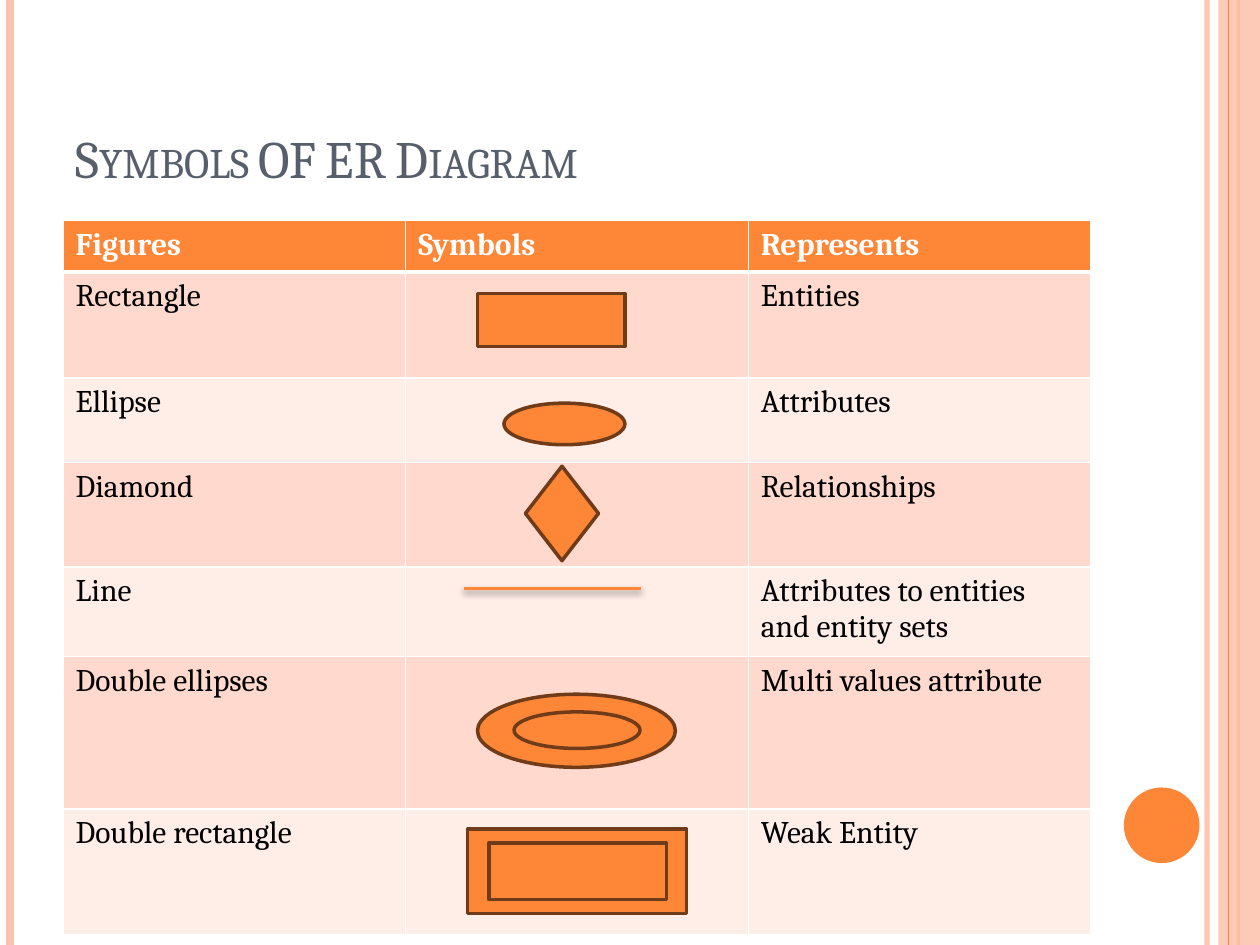
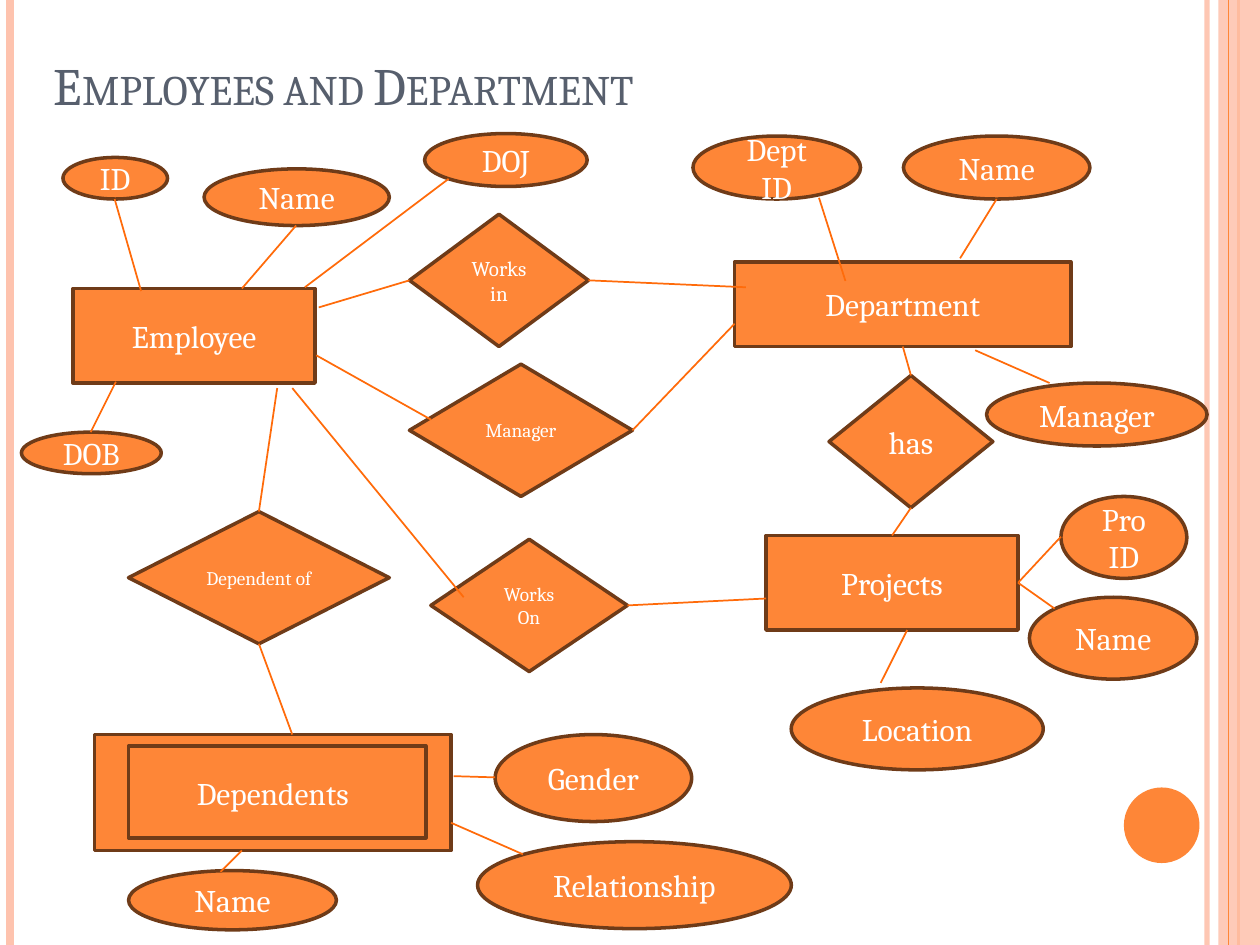
"""Build two slides on the symbols and an example of the ER diagram."""
from dataclasses import dataclass
from typing import Optional, Union

from lxml import etree
from pptx import Presentation
from pptx.dml.color import RGBColor
from pptx.enum.shapes import MSO_CONNECTOR, MSO_SHAPE
from pptx.enum.text import MSO_ANCHOR, PP_ALIGN
from pptx.oxml.ns import qn
from pptx.util import Pt

PX = 9144
FONT = "Cambria"
COLORS = {
    "paper": "FFFFFF", "ink": "000000", "title": "575F6D", "orange": "FE8637",
    "outline": "6F3B18", "link": "FF6B0A", "rail": "FEC3AE",
    "band_dark": "FFD9CE", "band_light": "FFEDE8",
}
RECT, OVAL, DIAMOND = MSO_SHAPE.RECTANGLE, MSO_SHAPE.OVAL, MSO_SHAPE.DIAMOND
STRAIGHT = MSO_CONNECTOR.STRAIGHT
MIDDLE, BOTTOM_ANCHOR, CENTER = MSO_ANCHOR.MIDDLE, MSO_ANCHOR.BOTTOM, PP_ALIGN.CENTER
TOP, LEFT, BOTTOM, RIGHT = range(4)


@dataclass(frozen=True)
class Rail:
    """A vertical line that runs the full height of the slide."""
    x: int
    points: float
    color: str
    opacity: int = 100


@dataclass(frozen=True)
class Node:
    """An outlined figure of the ER notation."""
    kind: int
    left: int
    top: int
    width: int
    height: int
    label: str = ""
    size: int = 18
    fill: Optional[str] = "orange"

    def side(self, index: int) -> tuple[int, int]:
        """Return the middle of one side."""
        across, down = self.left + self.width // 2, self.top + self.height // 2
        return ((across, self.top), (self.left, down),
                (across, self.top + self.height), (self.left + self.width, down))[index]


End = Union[tuple[int, int], tuple[str, int]]


@dataclass(frozen=True)
class Link:
    """A line between points or named sides of nodes."""
    begin: End
    end: End


RAILS_BELOW = (Rail(958, 3, "rail", 93), Rail(8, 4.5, "rail"), Rail(983, 1.5, "orange"))
RAIL_ABOVE = Rail(975, 0.75, "orange")

COLUMN_WIDTH = 272
HEADINGS = ("Figures", "Symbols", "Represents")
HEADING_HEIGHT = 41
MEANINGS = (
    ("Rectangle", "Entities", 84),
    ("Ellipse", "Attributes", 67),
    ("Diamond", "Relationships", 83),
    ("Line", "Attributes to entities and entity sets", 71),
    ("Double ellipses", "Multi values attribute", 121),
    ("Double rectangle", "Weak Entity", 100),
)
SYMBOLS = (
    Node(RECT, 379, 233, 117, 42),
    Node(OVAL, 400, 320, 96, 33),
    Node(DIAMOND, 417, 370, 58, 75),
    Node(OVAL, 379, 551, 157, 58),
    Node(OVAL, 408, 565, 100, 29),
    Node(RECT, 371, 658, 174, 67),
    Node(RECT, 388, 669, 141, 45),
)

NODES = {
    "employee": Node(RECT, 58, 229, 192, 75, "Employee"),
    "employee_id": Node(OVAL, 50, 125, 83, 33, "ID"),
    "employee_name": Node(OVAL, 162, 134, 147, 45, "Name"),
    "dob": Node(OVAL, 17, 343, 111, 33, "DOB"),
    "doj": Node(OVAL, 337, 106, 129, 42, "DOJ"),
    "works_in": Node(DIAMOND, 325, 170, 142, 105, "Works in", 12),
    "manages": Node(DIAMOND, 325, 289, 177, 105, "Manager", 11),
    "department": Node(RECT, 583, 208, 267, 67, "Department"),
    "dept_id": Node(OVAL, 550, 108, 133, 50, "Dept ID"),
    "dept_name": Node(OVAL, 717, 108, 148, 50, "Name"),
    "dept_manager": Node(OVAL, 783, 304, 175, 50, "Manager"),
    "projects": Node(RECT, 608, 425, 200, 75, "Projects"),
    "works_on": Node(DIAMOND, 342, 428, 156, 105, "Works On", 11),
    "has": Node(DIAMOND, 658, 298, 130, 105, "has"),
    "project_id": Node(OVAL, 842, 394, 100, 65, "Pro ID"),
    "project_name": Node(OVAL, 817, 474, 133, 65, "Name"),
    "location": Node(OVAL, 628, 546, 200, 65, "Location"),
    "dependent_of": Node(DIAMOND, 102, 406, 207, 105, "Dependent of", 11),
    "dependents": Node(RECT, 75, 583, 283, 92, "Dependents"),
    "gender": Node(OVAL, 393, 583, 156, 69, "Gender"),
    "dependent_name": Node(OVAL, 102, 691, 165, 47, "Name"),
    "relationship": Node(OVAL, 379, 668, 249, 69, "Relationship"),
}
WEAK_ENTITY_FRAME = Node(RECT, 102, 592, 236, 73, fill=None)
LINKS = (
    Link(("employee_id", BOTTOM), (112, 231)),
    Link(("employee_name", BOTTOM), (192, 229)),
    Link(("dob", TOP), (92, 303)),
    Link((356, 142), (242, 228)),
    Link((253, 244), ("works_in", LEFT)),
    Link((251, 282), (342, 333)),
    Link((220, 308), ("dependent_of", TOP)),
    Link(("dependent_of", BOTTOM), (232, 583)),
    Link((192, 675), (175, 692)),
    Link((360, 616), ("gender", LEFT)),
    Link((358, 653), (415, 678)),
    Link((232, 308), (368, 474)),
    Link(("works_in", RIGHT), (592, 228)),
    Link(("manages", RIGHT), (583, 257)),
    Link(("works_on", RIGHT), (608, 475)),
    Link((650, 157), (671, 223)),
    Link(("department", BOTTOM), ("has", TOP)),
    Link((774, 278), (833, 304)),
    Link((762, 205), ("dept_name", BOTTOM)),
    Link(("has", BOTTOM), ("projects", TOP)),
    Link((720, 500), (699, 542)),
    Link(("projects", RIGHT), ("project_id", LEFT)),
    Link(("projects", RIGHT), (837, 483)),
)


def rgb(name: str) -> RGBColor:
    """Return a named colour."""
    return RGBColor.from_string(COLORS[name])


def fade(shape, opacity: int) -> None:
    """Make the colours of a shape partly transparent."""
    for color in shape._element.iter(qn("a:srgbClr")):
        etree.SubElement(color, qn("a:alpha"), val=str(opacity * 1000))


def style_text(frame, size: int, color: str, bold: bool = False) -> None:
    """Format every run of a text frame."""
    for paragraph in frame.paragraphs:
        for run in paragraph.runs:
            run.font.name, run.font.size, run.font.bold = FONT, Pt(size), bold
            run.font.color.rgb = rgb(color)


def add_line(slide, begin: tuple[int, int], end: tuple[int, int], color: str, points: float):
    """Draw a straight line without a shadow."""
    line = slide.shapes.add_connector(STRAIGHT, *(value * PX for value in begin + end))
    line.line.color.rgb, line.line.width = rgb(color), Pt(points)
    etree.SubElement(line._element.spPr, qn("a:effectLst"))
    return line


def add_rail(slide, rail: Rail) -> None:
    """Draw one rail of the frame."""
    line = add_line(slide, (rail.x, 0), (rail.x, 750), rail.color, rail.points)
    if rail.opacity < 100:
        fade(line, rail.opacity)


def add_node(slide, node: Node, outlined: bool = True):
    """Draw a figure with its label."""
    shape = slide.shapes.add_shape(
        node.kind, *(value * PX for value in (node.left, node.top, node.width, node.height)))
    shape.shadow.inherit = False
    if node.fill:
        shape.fill.solid()
        shape.fill.fore_color.rgb = rgb(node.fill)
    else:
        shape.fill.background()
    if outlined:
        shape.line.color.rgb, shape.line.width = rgb("outline"), Pt(2)
    else:
        shape.line.fill.background()
    if node.label:
        frame = shape.text_frame
        frame.text, frame.word_wrap, frame.vertical_anchor = node.label, True, MIDDLE
        frame.paragraphs[0].alignment = CENTER
        style_text(frame, node.size, "paper")
    return shape


def add_slide(deck, title: str, left: int, top: int, height: int):
    """Add a slide with the shared frame and a title."""
    slide = deck.slides.add_slide(deck.slide_layouts[6])
    slide.background.fill.solid()
    slide.background.fill.fore_color.rgb = rgb("paper")
    for rail in RAILS_BELOW:
        add_rail(slide, rail)
    fade(add_node(slide, Node(RECT, 967, 0, 33, 750, fill="rail"), outlined=False), 87)
    add_rail(slide, RAIL_ABOVE)
    add_node(slide, Node(OVAL, 892, 625, 60, 60), outlined=False)
    frame = slide.shapes.add_textbox(left * PX, top * PX, 817 * PX, height * PX).text_frame
    frame.text, frame.word_wrap, frame.vertical_anchor = title, True, BOTTOM_ANCHOR
    style_text(frame, 30, "title")
    frame.paragraphs[0].runs[0].font._element.set("cap", "small")
    return slide


def style_cell(cell, fill: str, color: str, bold: bool, bottom_points: int) -> None:
    """Give a cell its text format, white borders and fill."""
    style_text(cell.text_frame, 18, color, bold)
    properties = cell._tc.get_or_add_tcPr()
    for edge, points in (("L", 1), ("R", 1), ("T", 1), ("B", bottom_points)):
        border = etree.SubElement(properties, qn(f"a:ln{edge}"), w=str(Pt(points)))
        solid = etree.SubElement(border, qn("a:solidFill"))
        etree.SubElement(solid, qn("a:srgbClr"), val=COLORS["paper"])
    cell.fill.solid()
    cell.fill.fore_color.rgb = rgb(fill)


def add_meanings(slide) -> None:
    """Add the table of figures and what they represent."""
    rows = [(HEADINGS, HEADING_HEIGHT)]
    rows += [((figure, "", meaning), height) for figure, meaning, height in MEANINGS]
    total = sum(height for _, height in rows)
    table = slide.shapes.add_table(
        len(rows), len(HEADINGS), 50 * PX, 175 * PX, 3 * COLUMN_WIDTH * PX, total * PX).table
    for column in table.columns:
        column.width = COLUMN_WIDTH * PX
    for index, (texts, height) in enumerate(rows):
        table.rows[index].height = height * PX
        heading = index == 0
        fill = "orange" if heading else "band_dark" if index % 2 else "band_light"
        for cell, text in zip(table.rows[index].cells, texts):
            cell.text = text
            style_cell(cell, fill, "paper" if heading else "ink", heading, 3 if heading else 1)


def add_symbol_line(slide) -> None:
    """Draw the line symbol with its soft shadow."""
    line = add_line(slide, (368, 467), (509, 467), "orange", 2)
    effects = line._element.spPr.find(qn("a:effectLst"))
    shadow = etree.SubElement(effects, qn("a:outerShdw"), blurRad=str(Pt(4)),
                              dist=str(Pt(2)), dir="5400000", rotWithShape="0")
    color = etree.SubElement(shadow, qn("a:srgbClr"), val=COLORS["ink"])
    etree.SubElement(color, qn("a:alpha"), val="40000")


def locate(end: End) -> tuple[int, int]:
    """Return the point at which a link ends."""
    return NODES[end[0]].side(end[1]) if end[0] in NODES else end


def add_link(slide, link: Link, shapes: dict) -> None:
    """Draw a link and join it to rectangles and diamonds."""
    line = add_line(slide, locate(link.begin), locate(link.end), "link", 1)
    for end, join in ((link.begin, line.begin_connect), (link.end, line.end_connect)):
        if end[0] in NODES and NODES[end[0]].kind != OVAL:
            join(shapes[end[0]], end[1])


def main() -> None:
    """Build and save both slides."""
    deck = Presentation()
    deck.slide_width, deck.slide_height = 1000 * PX, 750 * PX

    symbols = add_slide(deck, "Symbols OF ER Diagram", 50, 30, 125)
    add_meanings(symbols)
    for symbol in SYMBOLS:
        add_node(symbols, symbol)
    add_symbol_line(symbols)

    example = add_slide(deck, "Employees and Department", 33, 25, 72)
    shapes = {name: add_node(example, node) for name, node in NODES.items()}
    for link in LINKS:
        add_link(example, link, shapes)
    add_node(example, WEAK_ENTITY_FRAME)

    deck.save("out.pptx")


if __name__ == "__main__":
    main()
